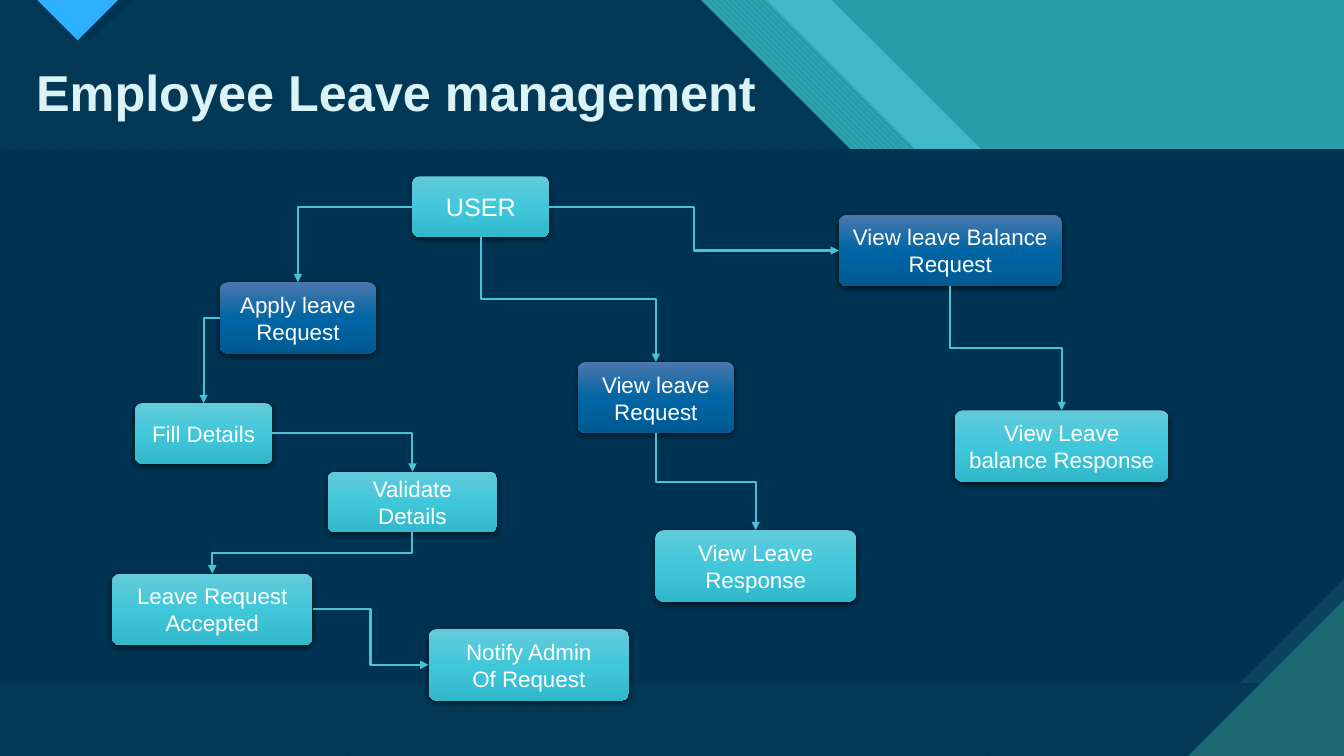
from lxml.etree import SubElement
from pptx import Presentation
from pptx.dml.color import RGBColor
from pptx.enum.dml import MSO_PATTERN as PATTERN
from pptx.enum.shapes import MSO_CONNECTOR, MSO_SHAPE
from pptx.enum.text import MSO_ANCHOR, PP_ALIGN
from pptx.oxml.ns import qn
from pptx.util import Inches, Pt

NAVY = RGBColor(0x00, 0x33, 0x52)
STEEL = RGBColor(0x0C, 0x43, 0x60)
TEAL = RGBColor(0x29, 0x9C, 0xAB)
AQUA = RGBColor(0x47, 0xC3, 0xD3)
PINE = RGBColor(0x1B, 0x68, 0x72)
SKY = RGBColor(0x2F, 0xAF, 0xFF)
ICE = RGBColor(0xDA, 0xF3, 0xF6)
WHITE = RGBColor(0xFF, 0xFF, 0xFF)
GRADIENTS = {
    "step": ("63CAD9", "40C8DA", "31B8CA"),
    "request": ("4B78AE", "0065A4", "005A92"),
}

FONT = "Arial"
TITLE = "Employee Leave management"
W, H = 13.33, 7.5
BAND, FLOOR = 1.48, 6.78
SNIP = 1.04
CORNER = 1.54

DARK_AREA = [(0, 0), (6.95, 0), (6.95 + BAND, BAND), (W, BAND), (W, H), (0, H)]
BACKDROP = [
    ([(0, 0), (8.25, 0), (8.25 + BAND, BAND), (0, BAND)], AQUA, None, None, 74),
    ([(0, 0), (7.6, 0), (7.6 + BAND, BAND), (0, BAND)],
     AQUA, TEAL, PATTERN.WIDE_DOWNWARD_DIAGONAL, None),
    (DARK_AREA, AQUA, PINE, PATTERN.WIDE_UPWARD_DIAGONAL, None),
    (DARK_AREA, NAVY, None, None, 90),
    ([(0.48, 0), (1.31, 0), (0.9, 0.41)], NAVY, None, None, None),
    ([(0.37, 0), (1.17, 0), (0.77, 0.4)],
     SKY, PINE, PATTERN.DARK_HORIZONTAL, None),
    ([(0, BAND), (W, BAND), (W, FLOOR), (0, FLOOR)],
     STEEL, PINE, PATTERN.DARK_VERTICAL, None),
    ([(0, BAND), (W, BAND), (W, FLOOR - SNIP), (W - SNIP, FLOOR), (0, FLOOR)],
     NAVY, None, None, None),
    ([(W - CORNER, H), (W, H), (W, H - CORNER)],
     PINE, AQUA, PATTERN.DARK_HORIZONTAL, None),
]

BOXES = {
    "user": (4.09, 1.75, 1.36, 0.6, "step", 18, ["USER"]),
    "fill": (1.34, 4, 1.36, 0.6, "step", 16, ["Fill Details"]),
    "apply": (2.18, 2.8, 1.55, 0.71, "request", 16, ["Apply leave", "Request"]),
    "view": (5.73, 3.59, 1.55, 0.71, "request", 16, ["View leave", "Request"]),
    "balance": (8.32, 2.13, 2.21, 0.71, "request", 16,
                ["View leave Balance", "Request"]),
    "validate": (3.25, 4.68, 1.68, 0.6, "step", 16, ["Validate Details"]),
    "accepted": (1.11, 5.69, 1.99, 0.71, "step", 16, ["Leave Request Accepted"]),
    "response": (6.5, 5.26, 1.99, 0.71, "step", 16, ["View Leave", "Response"]),
    "balance_response": (9.47, 4.07, 2.12, 0.71, "step", 16,
                         ["View Leave balance Response"]),
    "notify": (4.25, 6.24, 1.99, 0.71, "step", 16, ["Notify Admin", "Of Request"]),
}

TOP, LEFT, BOTTOM, RIGHT = range(4)
ARROWS = [
    ("user", LEFT, "apply", TOP),
    ("user", BOTTOM, "view", TOP),
    ("user", RIGHT, "balance", LEFT),
    ("apply", LEFT, "fill", TOP),
    ("fill", RIGHT, "validate", TOP),
    ("validate", BOTTOM, "accepted", TOP),
    ("view", BOTTOM, "response", TOP),
    ("balance", BOTTOM, "balance_response", TOP),
    ("accepted", RIGHT, "notify", LEFT),
]


def add_run(p, text, size, color, bold=False):
    r = p.add_run()
    r.text = text
    r.font.name = FONT
    r.font.size = Pt(size)
    r.font.bold = bold
    r.font.color.rgb = color


def add_area(shapes, points, fore, back, pattern, alpha):
    pts = [(Inches(x), Inches(y)) for x, y in points]
    builder = shapes.build_freeform(*pts[0], scale=1.0)
    builder.add_line_segments(pts[1:], close=True)
    sp = builder.convert_to_shape()
    sp.shadow.inherit = False
    sp.line.fill.background()
    if pattern is None:
        sp.fill.solid()
    else:
        sp.fill.patterned()
        sp.fill.pattern = pattern
        sp.fill.back_color.rgb = back
    sp.fill.fore_color.rgb = fore
    if alpha:
        clr = sp._element.spPr.find(".//" + qn("a:srgbClr"))
        SubElement(clr, qn("a:alpha"), val=str(alpha * 1000))


def add_box(shapes, x, y, w, h, style, size, lines):
    sp = shapes.add_shape(MSO_SHAPE.ROUNDED_RECTANGLE,
                          Inches(x), Inches(y), Inches(w), Inches(h))
    sp.adjustments[0] = 0.115
    sp.line.fill.background()
    sp.fill.gradient()
    sp.fill.gradient_angle = 270
    stops = sp._element.spPr.find(".//" + qn("a:gsLst"))
    for old in list(stops):
        stops.remove(old)
    for i, color in enumerate(GRADIENTS[style]):
        gs = SubElement(stops, qn("a:gs"), pos=str(i * 50000))
        SubElement(gs, qn("a:srgbClr"), val=color)

    sp.shadow.inherit = False
    effects = sp._element.spPr.find(qn("a:effectLst"))
    shadow = SubElement(effects, qn("a:outerShdw"), blurRad=str(Pt(4.5)),
                        dist=str(Pt(1.5)), dir="5400000", rotWithShape="0")
    clr = SubElement(shadow, qn("a:srgbClr"), val="000000")
    SubElement(clr, qn("a:alpha"), val="63000")

    tf = sp.text_frame
    tf.word_wrap = True
    tf.vertical_anchor = MSO_ANCHOR.MIDDLE
    for i, line in enumerate(lines):
        p = tf.add_paragraph() if i else tf.paragraphs[0]
        p.alignment = PP_ALIGN.CENTER
        add_run(p, line, size, WHITE)
    return sp


def add_arrow(shapes, source, start, target, end):
    c = shapes.add_connector(MSO_CONNECTOR.ELBOW, 0, 0, 0, 0)
    c.begin_connect(source, start)
    c.end_connect(target, end)
    spPr = c._element.spPr
    if start == BOTTOM:
        x1, y1, x2, y2 = c.begin_x, c.begin_y, c.end_x, c.end_y
        c.width, c.height = y2 - y1, abs(x2 - x1)
        c.left = (x1 + x2 - c.width) // 2
        c.top = (y1 + y2 - c.height) // 2
        xfrm = spPr.find(qn("a:xfrm"))
        rightward = x2 > x1
        xfrm.set("rot", "16200000" if rightward else "5400000")
        xfrm.set("flipH", "1" if rightward else "0")
    elif end == TOP:
        spPr.find(qn("a:prstGeom")).set("prst", "bentConnector2")
    c.line.color.rgb = AQUA
    c.line.width = Pt(1.5)
    SubElement(spPr.find(qn("a:ln")), qn("a:tailEnd"), type="triangle")
    SubElement(spPr, qn("a:effectLst"))


def main():
    prs = Presentation()
    prs.slide_width, prs.slide_height = Inches(W), Inches(H)
    slide = prs.slides.add_slide(prs.slide_layouts[6])
    slide.background.fill.solid()
    slide.background.fill.fore_color.rgb = TEAL
    shapes = slide.shapes

    for area in BACKDROP:
        add_area(shapes, *area)

    title = shapes.add_textbox(Inches(0.26), Inches(0.56), Inches(7.41), Inches(0.71))
    title.text_frame.word_wrap = False
    add_run(title.text_frame.paragraphs[0], TITLE, 36, ICE, bold=True)

    boxes = {name: add_box(shapes, *box) for name, box in BOXES.items()}
    for source, start, target, end in ARROWS:
        add_arrow(shapes, boxes[source], start, boxes[target], end)

    prs.save("out.pptx")


if __name__ == "__main__":
    main()
